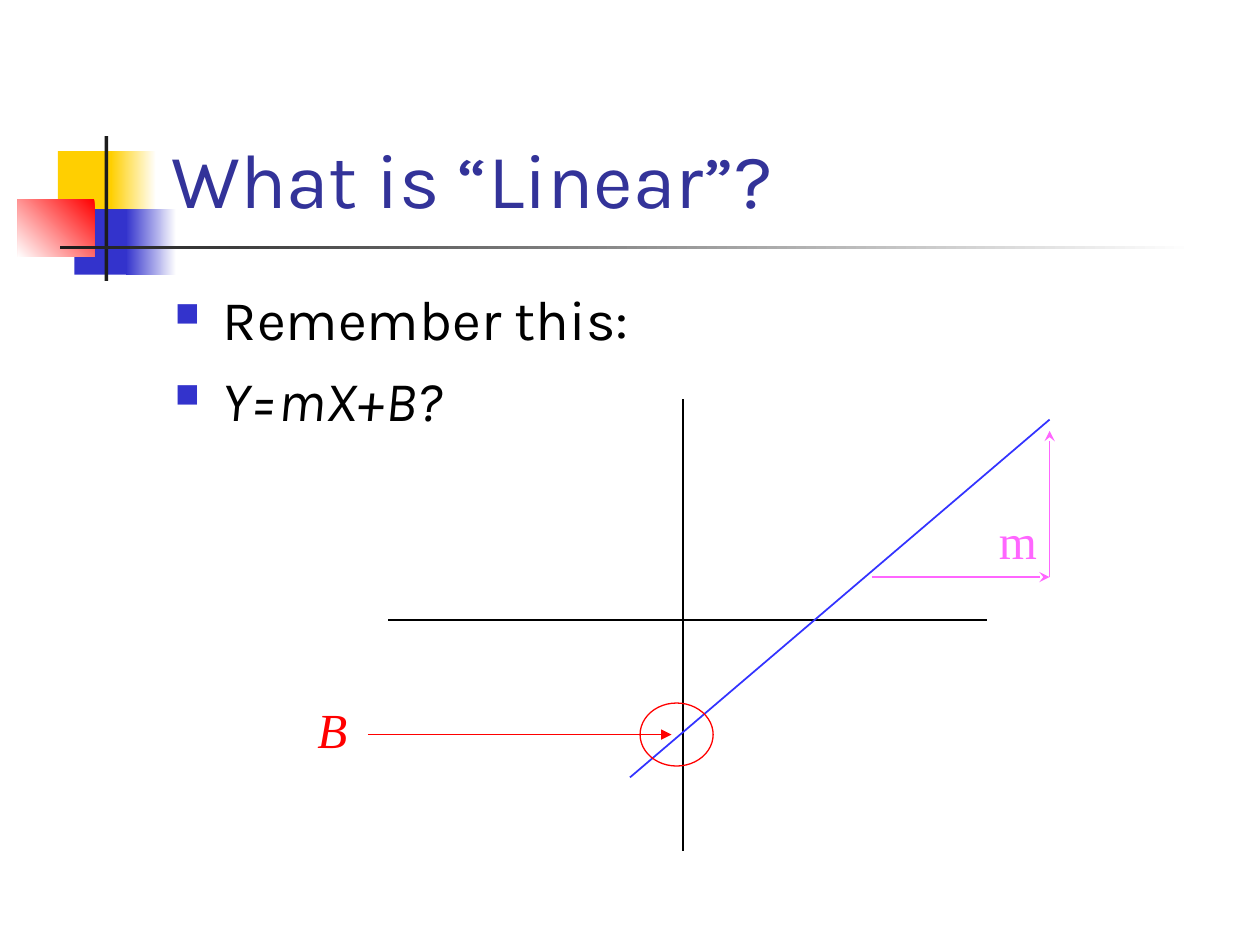
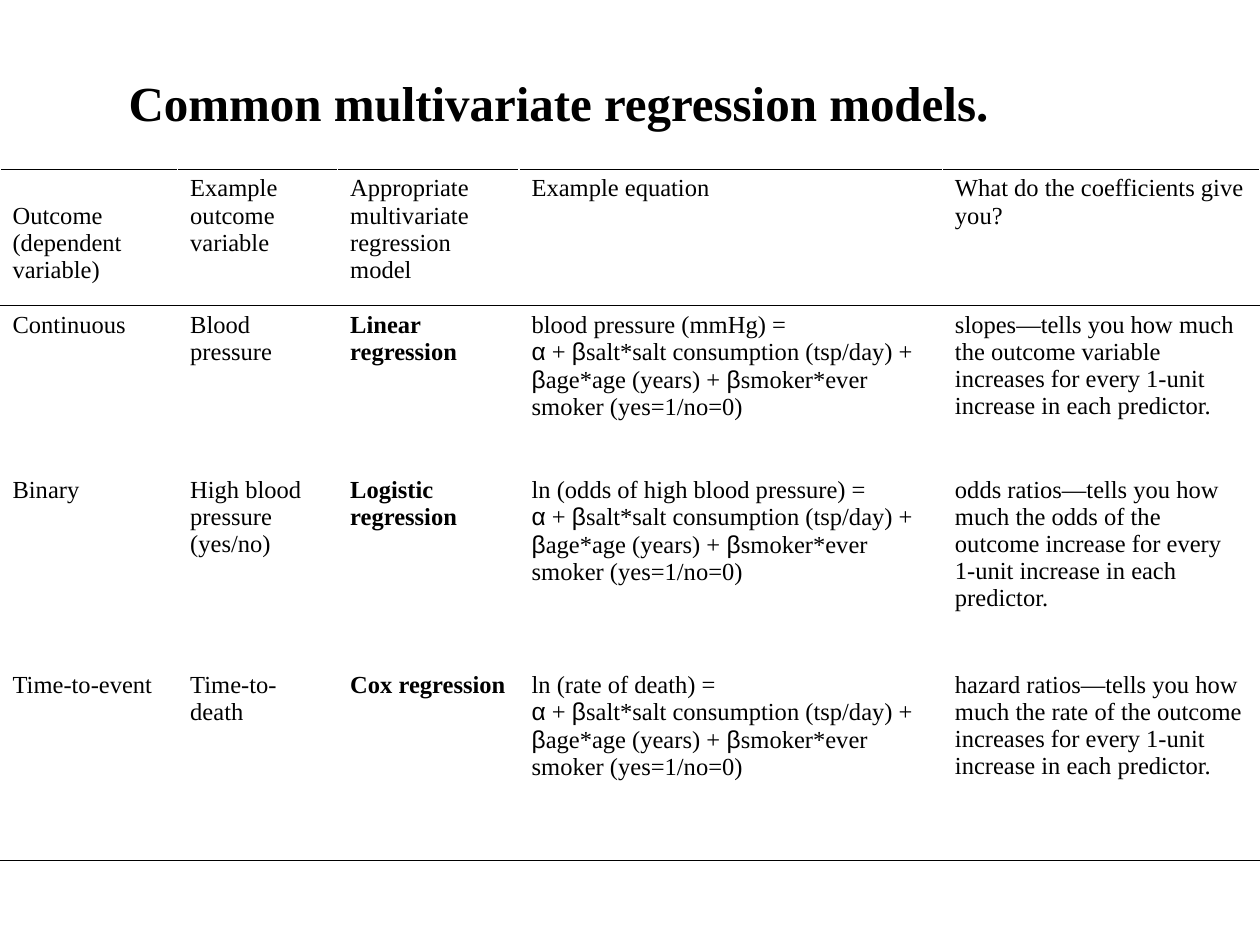
from lxml import etree
from pptx import Presentation
from pptx import util as u
from pptx.dml.color import RGBColor
from pptx.enum import shapes, text
from pptx.oxml import ns

BLACK = RGBColor(0x00, 0x00, 0x00)
WHITE = RGBColor(0xFF, 0xFF, 0xFF)
CHARCOAL = RGBColor(0x1C, 0x1C, 0x1C)
YELLOW = RGBColor(0xFF, 0xCF, 0x01)
BLUE = RGBColor(0x33, 0x33, 0xCC)
TITLE_BLUE = RGBColor(0x33, 0x33, 0x99)
GRAPH_BLUE = RGBColor(0x33, 0x33, 0xFF)
RED = RGBColor(0xFF, 0x00, 0x00)
PINK = RGBColor(0xFF, 0x66, 0xFF)

SANS = "Karla"
SERIF = "Times New Roman"
GREEK = "Arial"
TITLE_ONLY = 5

COLUMN_WIDTHS = (1.41, 1.27, 1.44, 3.36, 2.52)
ROW_HEIGHTS = (1.08, 1.31, 1.55, 1.55)
HEADINGS = (
    "Outcome (dependent variable)",
    "Example outcome variable",
    "Appropriate multivariate regression model",
    "Example equation",
    "What do the coefficients give you?",
)
PREDICTORS = (
    "α + βsalt*salt consumption (tsp/day) + "
    "βage*age (years) + βsmoker*ever smoker (yes=1/no=0)"
)
MODELS = (
    ("Continuous", "Blood pressure", "Linear regression",
     "blood pressure (mmHg) =",
     "slopes—tells you how much the outcome variable increases "
     "for every 1-unit increase in each predictor."),
    ("Binary", "High blood pressure (yes/no)", "Logistic regression",
     "ln (odds of high blood pressure) =",
     "odds ratios—tells you how much the odds of the outcome increase "
     "for every 1-unit increase in each predictor."),
    ("Time-to-event", "Time-to- death", "Cox regression",
     "ln (rate of death) =",
     "hazard ratios—tells you how much the rate of the outcome increases "
     "for every 1-unit increase in each predictor."),
)


def write(paragraph, content, font=SERIF, size=14, color=BLACK, bold=False, italic=False):
    run = paragraph.add_run()
    run.text = content
    run.font.name = font
    run.font.size = u.Pt(size)
    run.font.color.rgb = color
    run.font.bold = bold
    run.font.italic = italic


def add_xml(parent, tag, **attributes):
    return etree.SubElement(parent, ns.qn(tag), attributes)


def place(shape, left, top, width, height):
    shape.left, shape.top = u.Inches(left), u.Inches(top)
    shape.width, shape.height = u.Inches(width), u.Inches(height)


class Deck:
    def __init__(self):
        self.presentation = Presentation()
        self.presentation.slide_width = u.Inches(10)
        self.presentation.slide_height = u.Inches(7.5)
        self.slide = None

    def new_slide(self):
        layout = self.presentation.slide_layouts[TITLE_ONLY]
        self.slide = self.presentation.slides.add_slide(layout)

    def title(self, content, box, anchor, wrap=True, **style):
        title = self.slide.shapes.title
        place(title, *box)
        frame = title.text_frame
        frame.auto_size = text.MSO_AUTO_SIZE.NONE
        frame.word_wrap = wrap
        frame.vertical_anchor = anchor
        paragraph = frame.paragraphs[0]
        paragraph.alignment = text.PP_ALIGN.LEFT
        write(paragraph, content, **style)

    def text_box(self, box):
        shape = self.slide.shapes.add_textbox(*map(u.Inches, box))
        shape.text_frame.word_wrap = True
        return shape.text_frame

    def label(self, content, box, **style):
        write(self.text_box(box).paragraphs[0], content, size=28, **style)

    def bullets(self, items, box):
        frame = self.text_box(box)
        for index, (content, italic) in enumerate(items):
            paragraph = frame.add_paragraph() if index else frame.paragraphs[0]
            paragraph.space_before = u.Pt(8)
            write(paragraph, content, font=SANS, size=32, italic=italic)
            properties = paragraph._p.get_or_add_pPr()
            indent = u.Inches(0.38)
            properties.set("marL", str(indent))
            properties.set("indent", str(-indent))
            add_xml(add_xml(properties, "a:buClr"), "a:srgbClr", val=str(BLUE))
            add_xml(properties, "a:buSzPct", val="60000")
            add_xml(properties, "a:buChar", char="■")

    def shape(self, kind, box):
        shape = self.slide.shapes.add_shape(kind, *map(u.Inches, box))
        shape.shadow.inherit = False
        return shape

    def block(self, box, color, end_color=None, angle=0):
        block = self.shape(shapes.MSO_SHAPE.RECTANGLE, box)
        block.line.fill.background()
        if end_color is None:
            block.fill.solid()
            block.fill.fore_color.rgb = color
            return
        block.fill.gradient()
        block.fill.gradient_angle = 360 - angle
        for stop, position, stop_color in zip(
            block.fill.gradient_stops, (0, 1), (color, end_color)
        ):
            stop.position = position
            stop.color.rgb = stop_color

    def ring(self, box, color):
        ring = self.shape(shapes.MSO_SHAPE.OVAL, box)
        ring.fill.background()
        ring.line.color.rgb = color
        ring.line.width = u.Pt(0.75)

    def line(self, start, end, color, width=0.75, arrow=None):
        connector = self.slide.shapes.add_connector(
            shapes.MSO_CONNECTOR.STRAIGHT, *map(u.Inches, (*start, *end))
        )
        connector.line.color.rgb = color
        connector.line.width = u.Pt(width)
        if arrow:
            add_xml(connector.line._get_or_add_ln(), "a:tailEnd", type=arrow)
        add_xml(connector._element.spPr, "a:effectLst")

    def corner_motif(self):
        self.block((0.46, 1.2, 0.48, 0.52), YELLOW)
        self.block((0.88, 1.2, 0.36, 0.52), WHITE, YELLOW, 180)
        self.block((0.59, 1.66, 0.46, 0.52), BLUE)
        self.block((1, 1.66, 0.4, 0.52), WHITE, BLUE, 180)
        self.block((0.14, 1.58, 0.61, 0.46), RED, WHITE, 135)
        self.block((0.83, 1.08, 0.03, 1.15), CHARCOAL)
        self.block((0.48, 1.95, 9, 0.03), WHITE, CHARCOAL, 180)

    def table(self, left, top, widths, heights):
        table = self.slide.shapes.add_table(
            len(heights), len(widths), u.Inches(left), u.Inches(top),
            u.Inches(sum(widths)), u.Inches(sum(heights)),
        ).table
        table.first_row = False
        table.horz_banding = False
        for column, width in zip(table.columns, widths):
            column.width = u.Inches(width)
        for row, height in zip(table.rows, heights):
            row.height = u.Inches(height)
        for cell in table.iter_cells():
            cell.fill.background()
        return table

    def rule(self, cell, sides):
        properties = cell._tc.get_or_add_tcPr()
        for index, side in enumerate(sides):
            border = etree.Element(ns.qn("a:ln" + side), w=str(u.Pt(0.45)))
            add_xml(add_xml(border, "a:solidFill"), "a:srgbClr", val=str(BLACK))
            properties.insert(index, border)


def write_equation(paragraph, equation):
    for part in equation.replace("α", "|α|").replace("β", "|β|").split("|"):
        if part:
            write(paragraph, part, font=GREEK if part in "αβ" else SERIF)


def build_linear_slide(deck):
    deck.new_slide()
    deck.corner_motif()
    deck.title("What is “Linear”?", (1.26, 0.23, 8.52, 1.6),
               text.MSO_ANCHOR.BOTTOM, font=SANS, size=44, color=TITLE_BLUE)
    deck.bullets((("Remember this:", False), ("Y=mX+B?", True)),
                 (1.29, 2.21, 8.5, 4.5))

    deck.line((5.42, 3.17), (5.42, 6.75), BLACK)
    deck.line((3.08, 4.92), (7.83, 4.92), BLACK)
    deck.line((5, 6.17), (8.33, 3.33), GRAPH_BLUE, width=1)

    deck.ring((5.08, 5.58, 0.58, 0.5), RED)
    deck.label("B", (2.42, 5.5, 0.75, 0.57), color=RED, italic=True)
    deck.line((2.92, 5.83), (5.33, 5.83), RED, arrow="triangle")

    slope_corner = (8.33, 4.58)
    deck.line((6.92, 4.58), slope_corner, PINK, arrow="stealth")
    deck.line(slope_corner, (8.33, 3.42), PINK, arrow="stealth")
    deck.label("m", (7.83, 4, 1, 0.57), color=PINK)


def build_models_slide(deck):
    deck.new_slide()
    deck.title("Common multivariate regression models.", (0.92, 0.52, 7.1, 0.57),
               text.MSO_ANCHOR.MIDDLE, wrap=False, size=28, bold=True)
    table = deck.table(0, 1.34, COLUMN_WIDTHS, ROW_HEIGHTS)
    borders = ("TB", "T", "", "B")
    for row, contents in enumerate((HEADINGS, *MODELS)):
        for column, content in enumerate(contents):
            cell = table.cell(row, column)
            deck.rule(cell, borders[row])
            frame = cell.text_frame
            write(frame.paragraphs[0], content, bold=row > 0 and column == 2)
            if row > 0 and column == 3:
                write_equation(frame.add_paragraph(), PREDICTORS)
    table.cell(0, 0).margin_top = u.Inches(0.27)


def main():
    deck = Deck()
    build_linear_slide(deck)
    build_models_slide(deck)
    deck.presentation.save("out.pptx")


if __name__ == "__main__":
    main()
